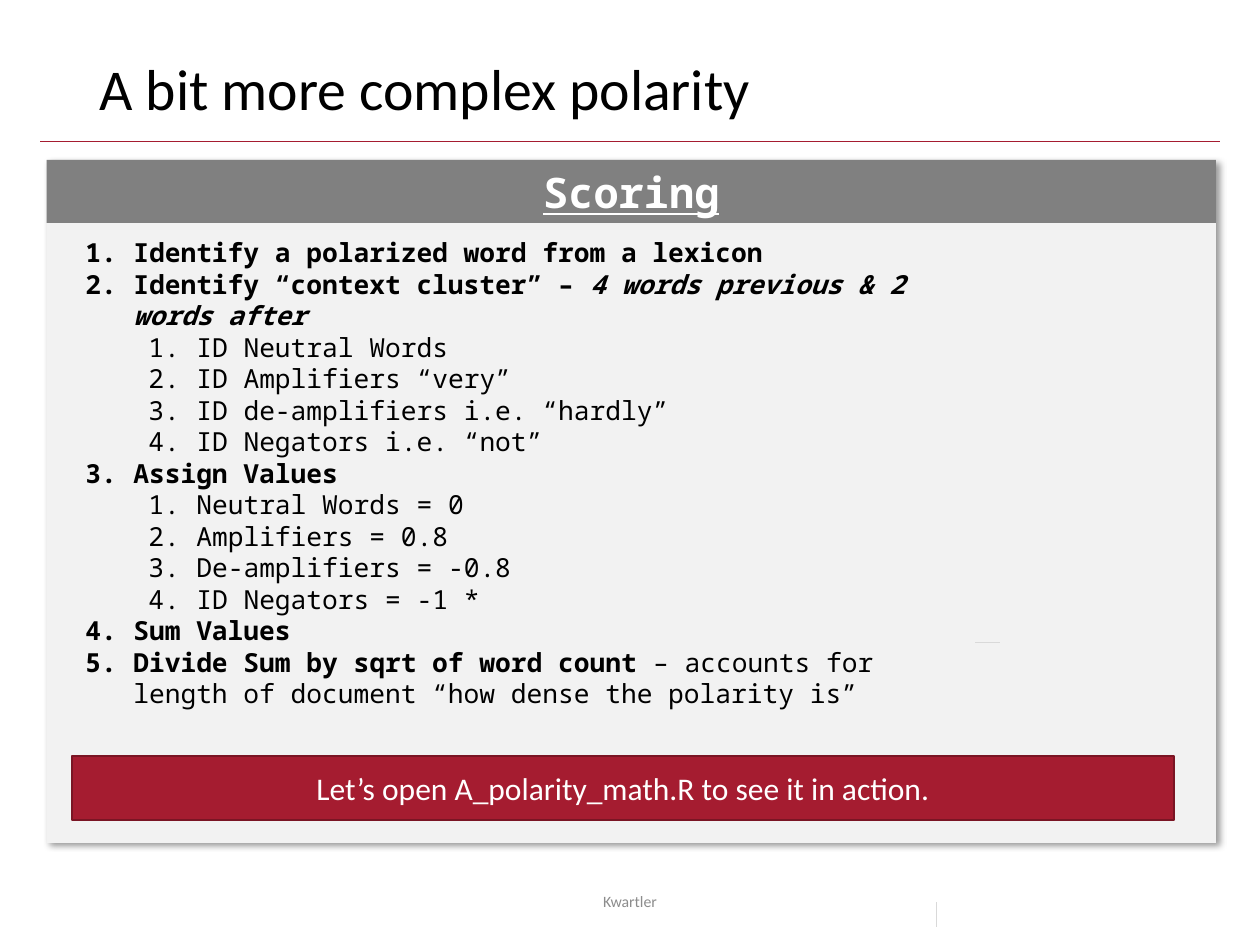
from lxml import etree
from pptx import Presentation
from pptx.dml.color import RGBColor
from pptx.enum.shapes import MSO_CONNECTOR, MSO_SHAPE
from pptx.enum.text import MSO_ANCHOR, PP_ALIGN
from pptx.oxml.ns import qn
from pptx.util import Emu, Pt

RECTANGLE = MSO_SHAPE.RECTANGLE
STRAIGHT = MSO_CONNECTOR.STRAIGHT
TOP, MIDDLE = MSO_ANCHOR.TOP, MSO_ANCHOR.MIDDLE
LEFT, CENTER = PP_ALIGN.LEFT, PP_ALIGN.CENTER

EMU_PER_PX = 9144
BLACK = RGBColor(0x00, 0x00, 0x00)
WHITE = RGBColor(0xFF, 0xFF, 0xFF)
CRIMSON = RGBColor(0xA5, 0x1C, 0x30)
DARK_CRIMSON = RGBColor(0x7A, 0x15, 0x24)
PANEL_GRAY = RGBColor(0xF2, 0xF2, 0xF2)
HEADER_GRAY = RGBColor(0x80, 0x80, 0x80)
FOOTER_GRAY = RGBColor(0x8C, 0x8C, 0x8C)
TICK_GRAY = RGBColor(0xD9, 0xD9, 0xD9)
SANS, MONO = "Calibri", "Noto Sans Mono"

SCORING_STEPS = [
    (("Identify a polarized word from a lexicon", "b"),), [],
    (("Identify “context cluster” – ", "b"),
     ("4 words previous & 2 words after", "bi")),
    ["ID Neutral Words", "ID Amplifiers “very”",
     "ID de-amplifiers i.e. “hardly”", "ID Negators i.e. “not”"],
    (("Assign Values", "b"),),
    ["Neutral Words = 0", "Amplifiers = 0.8",
     "De-amplifiers = -0.8", "ID Negators = -1 *"],
    (("Sum Values", "b"),), [],
    (("Divide Sum by sqrt of word count ", "b"),
     ("– accounts for length of document “how dense the polarity is”", "")), [],
]


def px(value):
    return Emu(value * EMU_PER_PX)


class SlideBuilder:
    """Draws styled elements on one slide, with lengths in px."""

    def __init__(self, slide):
        self.slide = slide

    def style_run(self, run, size, name, color, flags=""):
        font = run.font
        font.size, font.name = Pt(size), name
        font.color.rgb = color
        font.bold, font.italic = "b" in flags, "i" in flags
        font.underline = "u" in flags

    def set_text(self, shape, text, size, name, color, align=CENTER, flags=""):
        frame = shape.text_frame
        frame.word_wrap = True
        frame.vertical_anchor = MIDDLE
        frame.text = text
        paragraph = frame.paragraphs[0]
        paragraph.alignment = align
        self.style_run(paragraph.runs[0], size, name, color, flags)
        return paragraph

    def text_box(self, box):
        return self.slide.shapes.add_textbox(*map(px, box))

    def rectangle(self, box, fill, outline=None):
        shape = self.slide.shapes.add_shape(RECTANGLE, *map(px, box))
        shape.shadow.inherit = False
        shape.fill.solid()
        shape.fill.fore_color.rgb = fill
        if outline is None:
            shape.line.fill.background()
        else:
            shape.line.color.rgb = outline
            shape.line.width = Pt(1)
        return shape

    def drop_shadow(self, shape):
        effects = shape._element.spPr.find(qn("a:effectLst"))
        shadow = etree.SubElement(
            effects, qn("a:outerShdw"), blurRad=str(Pt(4)), dist=str(Pt(3)),
            dir=str(45 * 60000), algn="tl", rotWithShape="0")
        color = etree.SubElement(shadow, qn("a:srgbClr"), val="000000")
        etree.SubElement(color, qn("a:alpha"), val="40000")

    def line(self, start, end, color):
        connector = self.slide.shapes.add_connector(
            STRAIGHT, *map(px, start + end))
        connector.line.color.rgb = color
        connector.line.width = Pt(0.5)
        etree.SubElement(connector._element.spPr, qn("a:effectLst"))

    def numbered_item(self, paragraph, runs, level):
        paragraph.level = level
        paragraph.line_spacing = Pt(18)
        paragraph.alignment = LEFT
        properties = paragraph._p.get_or_add_pPr()
        properties.set("marL", str(px(38 + 50 * level)))
        properties.set("indent", str(px(-38)))
        etree.SubElement(properties, qn("a:buFont"), typeface="+mj-lt")
        etree.SubElement(properties, qn("a:buAutoNum"), type="arabicPeriod")
        for text, flags in runs:
            run = paragraph.add_run()
            run.text = text
            self.style_run(run, 15, MONO, BLACK, flags)

    def numbered_list(self, box, steps):
        frame = self.text_box(box).text_frame
        frame.word_wrap = True
        frame.vertical_anchor = TOP
        items = []
        for runs, details in zip(steps[::2], steps[1::2]):
            items.append((runs, 0))
            items.extend((((detail, ""),), 1) for detail in details)
        for index, (runs, level) in enumerate(items):
            paragraph = frame.add_paragraph() if index else frame.paragraphs[0]
            self.numbered_item(paragraph, runs, level)


def main():
    presentation = Presentation()
    presentation.slide_width, presentation.slide_height = px(1000), px(750)
    slide = presentation.slides.add_slide(presentation.slide_layouts[6])
    builder = SlideBuilder(slide)

    builder.line((32, 112), (968, 112), CRIMSON)
    title = builder.set_text(builder.text_box((69, 40, 862, 65)),
                             "A bit more complex polarity", 33, SANS, BLACK, LEFT)
    title.line_spacing = 0.9

    builder.drop_shadow(builder.rectangle((37, 127, 928, 542), PANEL_GRAY))
    header = builder.rectangle((37, 127, 928, 50), HEADER_GRAY)
    builder.set_text(header, "Scoring", 24, MONO, WHITE, flags="bu")
    builder.numbered_list((58, 183, 682, 364), SCORING_STEPS)

    builder.set_text(builder.text_box((331, 695, 338, 40)),
                     "Kwartler", 9, SANS, FOOTER_GRAY)
    banner = builder.rectangle((57, 600, 875, 51), CRIMSON, DARK_CRIMSON)
    builder.set_text(banner, "Let’s open A_polarity_math.R to see it in action.",
                     18, SANS, WHITE)
    builder.line((743, 716), (743, 736), TICK_GRAY)
    builder.line((774, 510), (794, 510), TICK_GRAY)

    presentation.save("out.pptx")


if __name__ == "__main__":
    main()
